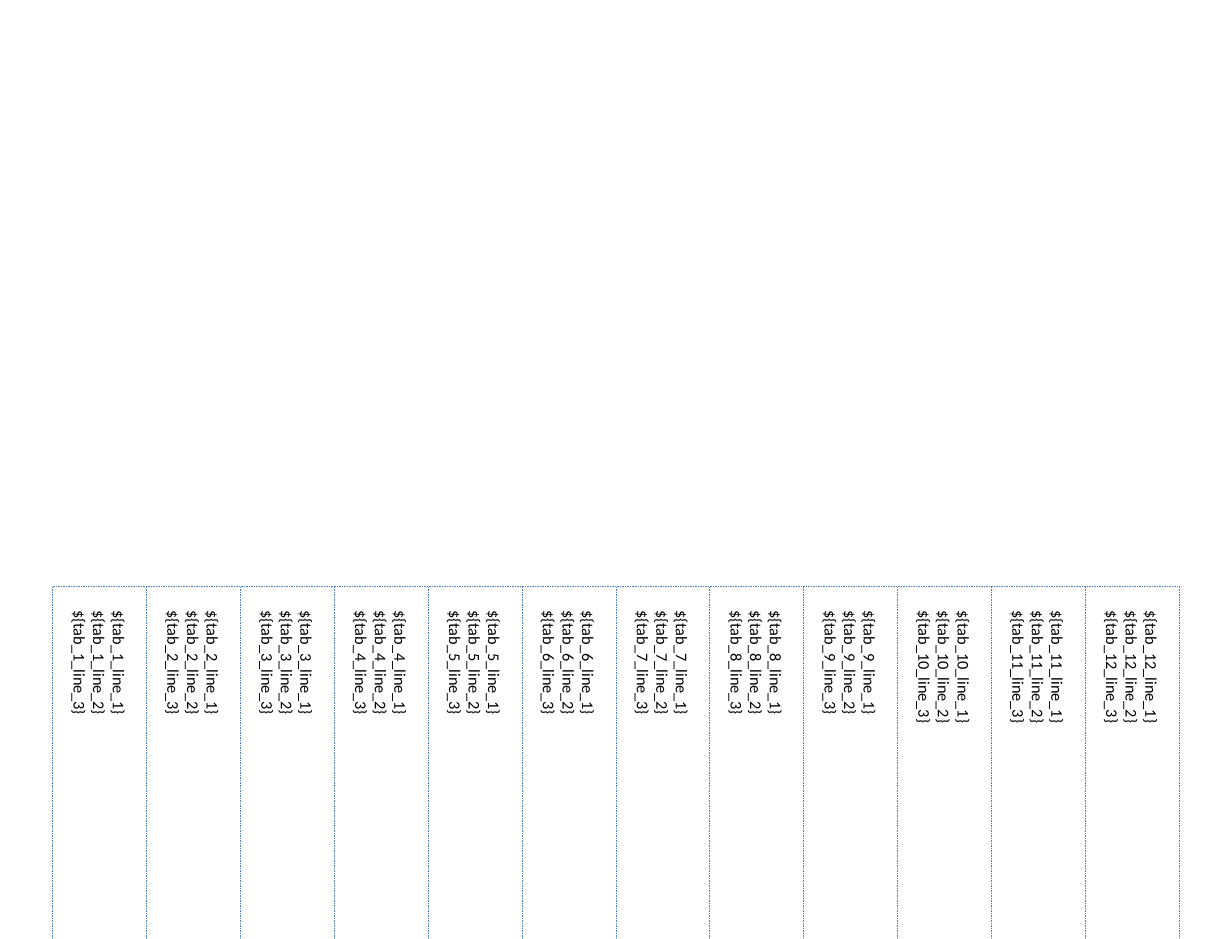
from pptx import Presentation
from pptx.dml.color import RGBColor
from pptx.enum.dml import MSO_LINE
from pptx.enum.shapes import MSO_CONNECTOR
from pptx.enum.text import MSO_ANCHOR
from pptx.oxml.ns import qn
from pptx.util import Inches, Pt
from lxml.etree import SubElement

TABS, LINES = 12, 3
LEFT, TOP = 0.45, 5
WIDE, HIGH = 0.8, 3
COLORS = {"text": "000000", "rule": "4B7EBC"}


class Sheet:
    """Draws on one slide, in columns and rows of the tab grid."""

    font, size = "Calibri", Pt(10)

    def __init__(self, slide):
        self.shapes = slide.shapes.add_group_shape().shapes

    def spot(self, col, row):
        return Inches(LEFT + col * WIDE), Inches(TOP + row * HIGH)

    def label(self, col, lines):
        """Fill one tab with text that reads downwards."""
        box = self.shapes.add_textbox(*self.spot(col, 0), Inches(WIDE), Inches(HIGH))
        frame = box.text_frame
        frame.word_wrap = False
        frame.vertical_anchor = MSO_ANCHOR.MIDDLE
        frame.margin_left = frame.margin_right = Inches(0.05)
        frame.margin_top, frame.margin_bottom = Inches(0.2), 0
        frame._txBody.bodyPr.set("vert", "vert")
        for i, line in enumerate(lines):
            para = frame.add_paragraph() if i else frame.paragraphs[0]
            run = para.add_run()
            run.text = line
            run.font.name, run.font.size = self.font, self.size
            run.font.color.rgb = RGBColor.from_string(COLORS["text"])

    def rule(self, start, end):
        """Draw a dotted cut line between two grid points."""
        line = self.shapes.add_connector(
            MSO_CONNECTOR.STRAIGHT, *self.spot(*start), *self.spot(*end))
        line.line.color.rgb = RGBColor.from_string(COLORS["rule"])
        line.line.width = Pt(0.5)
        line.line.dash_style = MSO_LINE.ROUND_DOT
        SubElement(line._element.spPr, qn("a:effectLst"))


def main():
    deck = Presentation()
    deck.slide_width, deck.slide_height = Inches(10.5), Inches(8)
    sheet = Sheet(deck.slides.add_slide(deck.slide_layouts[6]))

    for col in range(TABS):
        sheet.label(col, [f"${{tab_{col + 1}_line_{n + 1}}}" for n in range(LINES)])

    sheet.rule((0, 0), (TABS, 0))
    for col in range(TABS + 1):
        sheet.rule((col, 0), (col, 1))

    deck.save("out.pptx")


if __name__ == "__main__":
    main()
